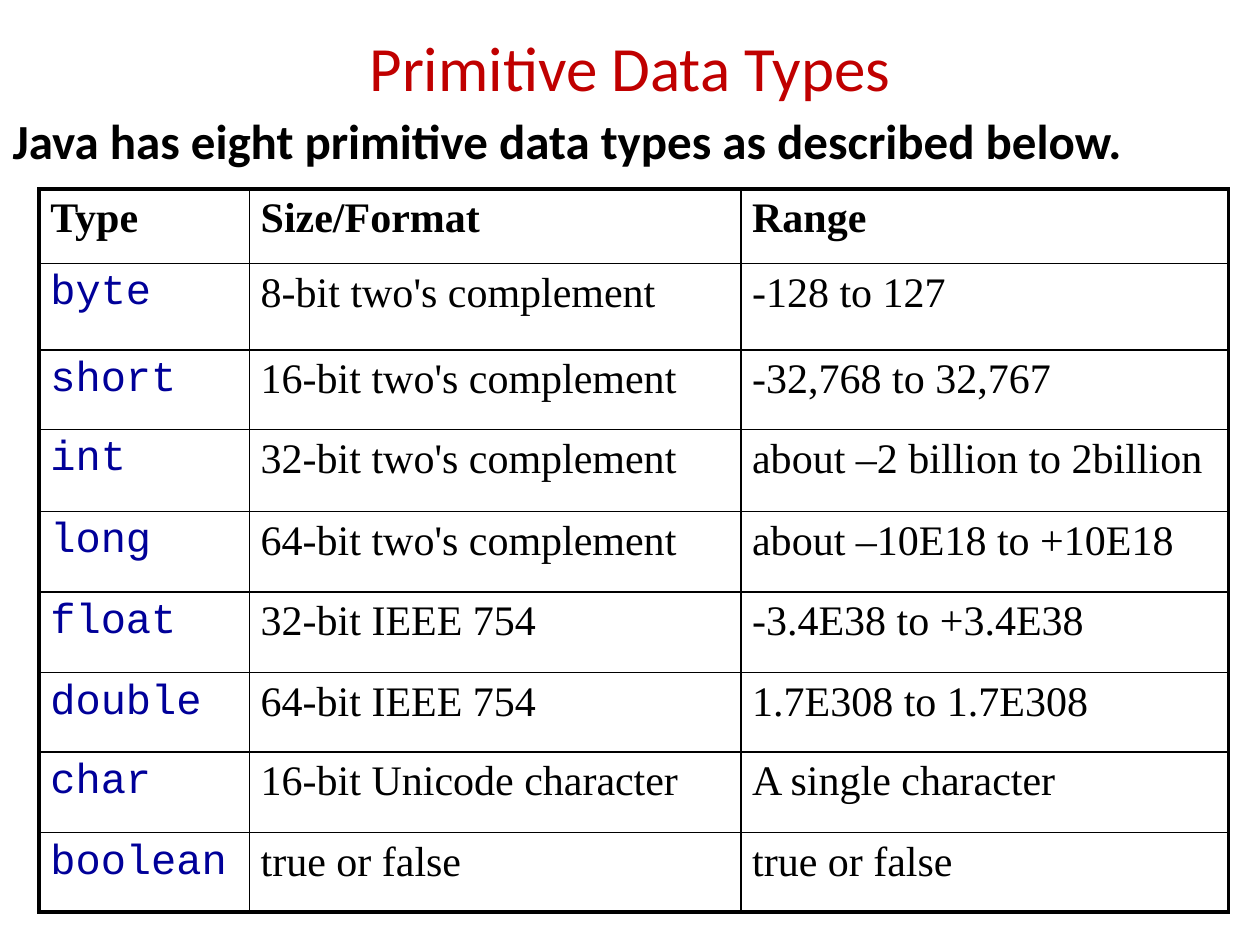
from lxml import etree
from pptx import Presentation
from pptx.dml.color import RGBColor
from pptx.enum.text import MSO_ANCHOR, MSO_AUTO_SIZE, PP_ALIGN
from pptx.oxml.ns import qn
from pptx.util import Inches, Pt

CENTER = PP_ALIGN.CENTER
MIDDLE = MSO_ANCHOR.MIDDLE
NO_AUTOFIT = MSO_AUTO_SIZE.NONE

RED = RGBColor(0xC0, 0x00, 0x00)
BLACK = RGBColor(0x00, 0x00, 0x00)
NAVY = RGBColor(0x00, 0x00, 0x99)

THIN, THICK = 1, 2.25
COLUMN_WIDTHS = [1.67, 3.9, 3.87]
ROW_HEIGHTS = [0.59, 0.69, 0.63, 0.65, 0.64, 0.64, 0.63, 0.64, 0.63]
TYPE_ROWS = [
    ("Type", "Size/Format", "Range"),
    ("byte", "8-bit two's complement", "-128 to 127"),
    ("short", "16-bit two's complement", "-32,768 to 32,767"),
    ("int", "32-bit two's complement", "about –2 billion to 2billion"),
    ("long", "64-bit two's complement", "about –10E18 to +10E18"),
    ("float", "32-bit IEEE 754", "-3.4E38 to +3.4E38"),
    ("double", "64-bit IEEE 754", "1.7E308 to 1.7E308"),
    ("char", "16-bit Unicode character", "A single character"),
    ("boolean", "true or false", "true or false"),
]


def style_font(para, name, size, color, bold=False):
    para.font.name = name
    para.font.size = Pt(size)
    para.font.color.rgb = color
    para.font.bold = bold


def fill_placeholder(holder, text, left, top, width, height):
    """Move a placeholder, set its text and return its only paragraph."""
    holder.left, holder.top = Inches(left), Inches(top)
    holder.width, holder.height = Inches(width), Inches(height)
    holder.text_frame.auto_size = NO_AUTOFIT
    holder.text_frame.text = text
    return holder.text_frame.paragraphs[0]


def add_title(page, text):
    para = fill_placeholder(page.shapes.title, text, 0.5, 0.3, 9, 0.45)
    page.shapes.title.text_frame.vertical_anchor = MIDDLE
    para.alignment = CENTER
    style_font(para, "Calibri", 36, RED)


def add_intro(page, text):
    para = fill_placeholder(page.placeholders[1], text, 0, 0.83, 10, 6.23)
    properties = para._p.get_or_add_pPr()
    properties.set("marL", str(Inches(0.38)))
    properties.set("indent", str(Inches(-0.38)))
    etree.SubElement(properties, qn("a:buNone"))
    style_font(para, "Calibri", 28, BLACK, bold=True)


def set_borders(cell, widths):
    """Draw black borders; widths are points for left, right, top, bottom."""
    properties = cell._tc.get_or_add_tcPr()
    for side, width in zip("LRTB", widths):
        line = etree.SubElement(properties, qn(f"a:ln{side}"), w=str(Pt(width)))
        fill = etree.SubElement(line, qn("a:solidFill"))
        etree.SubElement(fill, qn("a:srgbClr"), val=str(BLACK))


def add_type_table(page):
    row_count, column_count = len(TYPE_ROWS), len(COLUMN_WIDTHS)
    frame = page.shapes.add_table(row_count, column_count, Inches(0.31), Inches(1.5),
                                  Inches(sum(COLUMN_WIDTHS)), Inches(sum(ROW_HEIGHTS)))
    table = frame.table
    table.first_row = table.horz_banding = False
    for column, width in zip(table.columns, COLUMN_WIDTHS):
        column.width = Inches(width)
    for row, height in zip(table.rows, ROW_HEIGHTS):
        row.height = Inches(height)

    for r, texts in enumerate(TYPE_ROWS):
        for c, text in enumerate(texts):
            cell = table.cell(r, c)
            cell.text = text
            cell.margin_left = cell.margin_right = Inches(0.09)
            cell.margin_top = cell.margin_bottom = Inches(0.05)
            outer_edges = (c == 0, c == column_count - 1, r == 0, r == row_count - 1)
            set_borders(cell, [THICK if outer else THIN for outer in outer_edges])
            cell.fill.background()
            para = cell.text_frame.paragraphs[0]
            if r > 0 and c == 0:
                style_font(para, "Courier New", 24, NAVY)
            else:
                style_font(para, "Times New Roman", 24, BLACK, bold=r == 0)


def main():
    deck = Presentation()
    deck.slide_width, deck.slide_height = Inches(10), Inches(7.5)
    page = deck.slides.add_slide(deck.slide_layouts[1])
    add_title(page, "Primitive Data Types")
    add_intro(page, "Java has eight primitive data types as described below.")
    add_type_table(page)
    deck.save("out.pptx")


if __name__ == "__main__":
    main()
